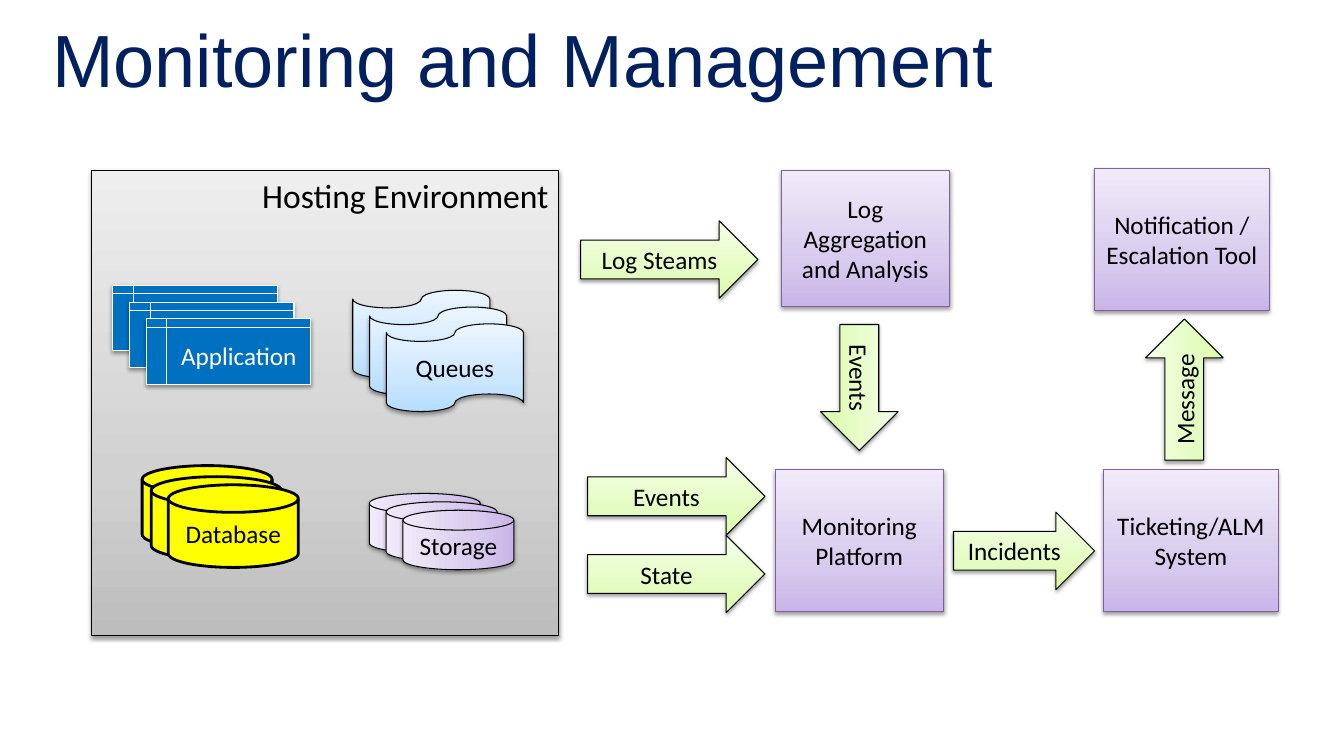
from lxml import etree
from pptx import Presentation
from pptx.dml.color import RGBColor
from pptx.enum.shapes import MSO_SHAPE
from pptx.enum.text import MSO_ANCHOR, PP_ALIGN
from pptx.oxml.ns import qn
from pptx.util import Pt

RECT = MSO_SHAPE.RECTANGLE
ARROW = MSO_SHAPE.RIGHT_ARROW
DISK = MSO_SHAPE.FLOWCHART_MAGNETIC_DISK
DRUM = MSO_SHAPE.FLOWCHART_DIRECT_ACCESS_STORAGE
TAPE = MSO_SHAPE.FLOWCHART_PUNCHED_TAPE
INTERNAL = MSO_SHAPE.FLOWCHART_INTERNAL_STORAGE
TOP, MIDDLE = MSO_ANCHOR.TOP, MSO_ANCHOR.MIDDLE
LEFT, CENTER, RIGHT = PP_ALIGN.LEFT, PP_ALIGN.CENTER, PP_ALIGN.RIGHT

NAVY = RGBColor(0x00, 0x20, 0x60)
BLACK = RGBColor(0x00, 0x00, 0x00)
WHITE = RGBColor(0xFF, 0xFF, 0xFF)
YELLOW = RGBColor(0xFF, 0xFF, 0x00)
BLUE = RGBColor(0x00, 0x70, 0xC0)
VIOLET = RGBColor(0x7D, 0x60, 0xA0)
GRAYS = (RGBColor(0xBD, 0xBD, 0xBD), RGBColor(0xD1, 0xD1, 0xD1), RGBColor(0xEE, 0xEE, 0xEE))
PURPLES = (RGBColor(0xC9, 0xB5, 0xE8), RGBColor(0xD8, 0xCB, 0xEE), RGBColor(0xF0, 0xEA, 0xF9))
SKIES = (RGBColor(0xB5, 0xDD, 0xFF), RGBColor(0xCB, 0xE6, 0xFF), RGBColor(0xEB, 0xF5, 0xFF))
GREENS = (RGBColor(0xDA, 0xFD, 0xA7), RGBColor(0xE4, 0xFC, 0xC2), RGBColor(0xF5, 0xFF, 0xE7))


def write(frame, words, size, color, align=CENTER, anchor=MIDDLE, font="Calibri"):
    frame.word_wrap = True
    frame.vertical_anchor = anchor
    frame.text = words
    for paragraph in frame.paragraphs:
        paragraph.alignment = align
        for run in paragraph.runs:
            run.font.name = font
            run.font.size = Pt(size)
            run.font.color.rgb = color


def fill_gradient(shape, colors):
    shape.fill.gradient()
    shape.fill.gradient_angle = 90
    gradient = shape._element.spPr.find(qn("a:gradFill"))
    gradient.set("rotWithShape", "1")
    stops = gradient.find(qn("a:gsLst"))
    for stop in list(stops):
        stops.remove(stop)
    for position, color in zip((0, 35, 100), colors):
        stop = etree.SubElement(stops, qn("a:gs"), pos=str(position * 1000))
        etree.SubElement(stop, qn("a:srgbClr"), val=str(color))


def cast_shadow(shape):
    effects = shape._element.spPr.find(qn("a:effectLst"))
    shadow = etree.SubElement(effects, qn("a:outerShdw"), blurRad=str(Pt(3.1)),
                              dist=str(Pt(1.6)), dir="5400000", rotWithShape="0")
    color = etree.SubElement(shadow, qn("a:srgbClr"), val=str(BLACK))
    etree.SubElement(color, qn("a:alpha"), val="38000")


def add_part(slide, kind, box, paint, outline=BLACK, weight=0.75, turn=0, shaded=True):
    part = slide.shapes.add_shape(kind, *map(Pt, box))
    part.rotation = turn
    part.shadow.inherit = False
    if isinstance(paint, RGBColor):
        part.fill.solid()
        part.fill.fore_color.rgb = paint
    else:
        fill_gradient(part, paint)
    part.line.color.rgb = outline
    part.line.width = Pt(weight)
    if shaded:
        cast_shadow(part)
    return part


def add_stack(slide, kind, box, offsets, label, paint, ink=BLACK, **style):
    x, y, width, height = box
    for dx, dy in offsets:
        front = add_part(slide, kind, (x + dx, y + dy, width, height), paint, **style)
    write(front.text_frame, label, 18, ink)
    return front


def add_title(slide, box):
    title = slide.shapes.add_textbox(*map(Pt, box))
    write(title.text_frame, "Monitoring and Management", 52.8, NAVY, LEFT, font="Arial")


def add_hosting(slide, box):
    x, y = box[:2]
    environment = add_part(slide, RECT, box, GRAYS)
    write(environment.text_frame, "Hosting Environment", 24, BLACK, RIGHT, TOP)
    diagonal = [(12 * i, 12 * i) for i in range(3)]
    shallow = [(12 * i, 6 * i) for i in range(3)]
    uneven = [(0, 0), (6.5, 7.9), (18.7, 13.7)]
    add_stack(slide, DISK, (x + 36, y + 210.9, 92.9, 59), uneven, "Database", YELLOW,
              weight=2, shaded=False)
    storage = add_stack(slide, DRUM, (x + 216.7, y + 212.4, 42.5, 79.2), shallow, "Storage",
                        PURPLES, turn=270)
    storage.text_frame._txBody.bodyPr.set("vert", "vert")
    add_stack(slide, TAPE, (x + 186.5, y + 85.7, 97.9, 62.6), diagonal, "Queues", SKIES)
    add_stack(slide, INTERNAL, (x + 15.1, y + 82.1, 117.4, 46.8), diagonal, "Application",
              BLUE, WHITE, outline=WHITE)


def add_pipeline(slide, box):
    x, y = box[:2]
    systems = [
        ("Log Aggregation and Analysis", 143.3, 1.5, 120.2, 97.2),
        ("Monitoring Platform", 139, 215.3, 120.2, 101.5),
        ("Ticketing/ALM\nSystem", 373.7, 215.3, 124.6, 101.5),
        ("Notification / Escalation Tool", 367.2, 0, 124.6, 101.5),
    ]
    flows = [
        ("Log Steams", 0, 37.5, 126.7, 0),
        ("Events", 5, 206.7, 126.7, 0),
        ("State", 5, 262.1, 126.7, 0),
        ("Events", 154.1, 128.9, 90, 90),
        ("Incidents", 266.4, 245.6, 100.8, 0),
        ("Message", 380.9, 130.4, 100.8, 270),
    ]
    for label, dx, dy, width, height in systems:
        system = add_part(slide, RECT, (x + dx, y + dy, width, height), PURPLES, VIOLET)
        write(system.text_frame, label, 18, BLACK)
    for label, dx, dy, length, turn in flows:
        flow = add_part(slide, ARROW, (x + dx, y + dy, length, 55.4), GREENS, turn=turn)
        write(flow.text_frame, label, 18, BLACK)


deck = Presentation()
deck.slide_width, deck.slide_height = Pt(960), Pt(540)
slide = deck.slides.add_slide(deck.slide_layouts[6])
add_title(slide, (30.2, 20.2, 899.3, 42.5))
add_hosting(slide, (65.5, 121.7, 333.4, 332.6))
add_pipeline(slide, (414.7, 120.2, 498.3, 316.8))
deck.save("out.pptx")
